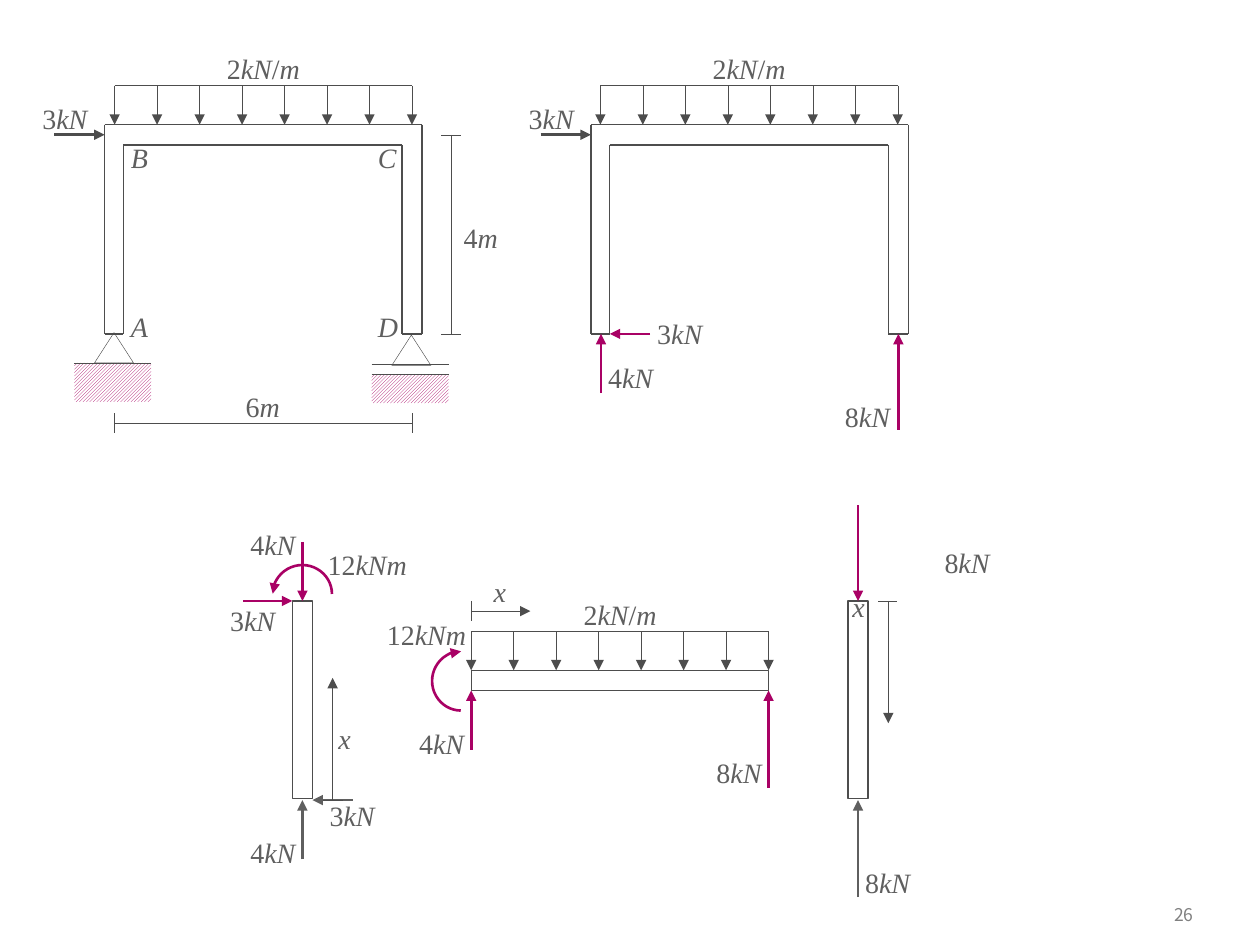
import itertools
import pptx
import pptx.util
import pptx.dml.color
import pptx.enum.dml
import pptx.enum.shapes
import pptx.enum.text
import pptx.oxml
import pptx.oxml.ns

Inches = pptx.util.Inches
Pt = pptx.util.Pt
Shape = pptx.enum.shapes.MSO_SHAPE
Align = pptx.enum.text.PP_ALIGN
color = pptx.dml.color.RGBColor.from_string
theme = {
    "dark": color("4D4D4D"), "gray": color("5F5F5F"), "force": color("A90165"),
    "page": color("808080"), "white": color("FFFFFF"),
    "font": "Times New Roman", "page font": "Noto Sans CJK KR",
    "size": Pt(16), "page size": Pt(10),
    "thin": Pt(0.25), "edge": Pt(0.75), "bold": Pt(1.5),
}


def line(group, x1, y1, x2, y2, hue="dark", width="thin", arrow=False):
    item = group.shapes.add_connector(
        pptx.enum.shapes.MSO_CONNECTOR.STRAIGHT,
        Inches(x1), Inches(y1), Inches(x2), Inches(y2))
    item.line.color.rgb = theme[hue]
    item.line.width = theme[width]
    props = item._element.spPr
    if arrow:
        tail = pptx.oxml.parse_xml(
            '<a:tailEnd %s type="triangle"/>' % pptx.oxml.ns.nsdecls("a"))
        props.find(pptx.oxml.ns.qn("a:ln")).append(tail)
    props.append(pptx.oxml.parse_xml("<a:effectLst %s/>" % pptx.oxml.ns.nsdecls("a")))


def label(group, text, x, y, width=0.63):
    box = group.shapes.add_textbox(Inches(x), Inches(y), Inches(width), Inches(0.37))
    box.text_frame.word_wrap = False
    para = box.text_frame.paragraphs[0]
    para.alignment = Align.CENTER
    # Letters are italic, digits and signs upright
    for slant, part in itertools.groupby(text, str.isalpha):
        run = para.add_run()
        run.text = "".join(part)
        run.font.italic = slant
        run.font.name = theme["font"]
        run.font.size = theme["size"]
        run.font.color.rgb = theme["gray"]


deck = pptx.Presentation()
deck.slide_width, deck.slide_height = Inches(10), Inches(7.5)
slide = deck.slides.add_slide(deck.slide_layouts[6])
free, left, right, beam, frame = [slide.shapes.add_group_shape() for _ in range(5)]

# Frame outlines with the side load
for group, x in ((frame, 0.83), (free, 4.69)):
    for x1, y1, x2, y2 in (
            (0.15, 1.15, 2.36, 1.15), (0, 0.99, 2.52, 0.99),
            (2.36, 1.15, 2.36, 2.65), (2.52, 0.99, 2.52, 2.65),
            (0, 0.99, 0, 2.65), (0.15, 1.15, 0.15, 2.65),
            (0, 2.65, 0.15, 2.65), (2.36, 2.65, 2.52, 2.65)):
        line(group, x + x1, y1, x + x2, y2, width="edge")
    line(group, x - 0.4, 1.07, x, 1.07, width="bold", arrow=True)
    label(group, "3kN", x - 0.63, 0.76)

# Spread loads
span, gaps = 2.36, 7
for group, x, y in ((frame, 0.91, 0.68), (free, 4.765, 0.68), (beam, 3.74, 5.01)):
    line(group, x, y, x + span, y)
    for step in range(gaps + 1):
        spot = x + step * span / gaps
        line(group, spot, y, spot, y + 0.31, arrow=True)
    label(group, "2kN/m", x + 0.785, y - 0.32, 0.79)

# Supports: pin at A, roller at D
for x, tip, top, depth in ((0.91, 2.64, 2.88, 0.31), (3.27, 2.66, 2.97, 0.23)):
    ground = frame.shapes.add_shape(
        Shape.RECTANGLE, Inches(x - 0.32), Inches(top), Inches(0.61), Inches(depth))
    ground.shadow.inherit = False
    ground.fill.patterned()
    ground.fill.pattern = pptx.enum.dml.MSO_PATTERN.LIGHT_UPWARD_DIAGONAL
    ground.fill.fore_color.rgb = theme["force"]
    ground.fill.back_color.rgb = theme["white"]
    ground.line.fill.background()
    line(frame, x - 0.32, top, x + 0.29, top)
    pin = frame.shapes.add_shape(
        Shape.ISOSCELES_TRIANGLE, Inches(x - 0.16), Inches(tip), Inches(0.31), Inches(0.24))
    pin.shadow.inherit = False
    pin.fill.background()
    pin.line.color.rgb = theme["dark"]
    pin.line.width = theme["thin"]
line(frame, 2.95, 2.89, 3.56, 2.89)

# Size marks
for ends in ((0.91, 3.36, 3.27, 3.36), (0.91, 3.28, 0.91, 3.44), (3.27, 3.28, 3.27, 3.44),
             (3.58, 1.07, 3.58, 2.65), (3.5, 1.07, 3.66, 1.07), (3.5, 2.65, 3.66, 2.65)):
    line(frame, *ends)
label(frame, "6m", 1.85, 3.04, 0.47)
label(frame, "4m", 3.58, 1.7, 0.47)
for name, x, y in (("A", 0.94, 2.41), ("B", 0.94, 1.07), ("C", 2.9, 1.07), ("D", 2.9, 2.41)):
    label(frame, name, x, y, 0.31)

# Cut members
for group, x, y, width, height in ((left, 2.32, 4.77, 0.16, 1.57),
                                   (right, 6.73, 4.77, 0.16, 1.57),
                                   (beam, 3.74, 5.32, 2.36, 0.16)):
    bar = group.shapes.add_shape(
        Shape.RECTANGLE, Inches(x), Inches(y), Inches(width), Inches(height))
    bar.shadow.inherit = False
    bar.fill.background()
    bar.line.color.rgb = theme["dark"]
    bar.line.width = theme["edge"]

# Point forces: start, tip, colour, text and its place
for group, x1, y1, x2, y2, hue, text, x, y in (
        (free, 4.77, 3.12, 4.77, 2.65, "force", "4kN", 4.69, 2.81),
        (free, 5.16, 2.65, 4.84, 2.65, "force", "3kN", 5.08, 2.46),
        (free, 7.13, 3.41, 7.13, 2.65, "force", "8kN", 6.57, 3.12),
        (left, 2.4, 4.3, 2.4, 4.77, "force", "4kN", 1.85, 4.14),
        (left, 1.93, 4.77, 2.32, 4.77, "force", "3kN", 1.69, 4.74),
        (left, 2.4, 6.82, 2.4, 6.35, "gray", "4kN", 1.85, 6.58),
        (left, 2.8, 6.35, 2.48, 6.35, "gray", "3kN", 2.48, 6.29),
        (right, 6.81, 4.01, 6.81, 4.77, "force", "8kN", 7.36, 4.28),
        (right, 6.81, 7.12, 6.81, 6.35, "gray", "8kN", 6.73, 6.82),
        (beam, 3.74, 5.95, 3.74, 5.48, "force", "4kN", 3.19, 5.72),
        (beam, 6.1, 6.25, 6.1, 5.48, "force", "8kN", 5.55, 5.95)):
    line(group, x1, y1, x2, y2, hue, "bold", True)
    label(group, text, x, y)

# Moments
for group, x, y, turn, end, text_x, text_y in (
        (left, 2.17, 4.48, 90, "headEnd", 2.48, 4.3),
        (beam, 3.43, 5.17, 0, "tailEnd", 2.95, 4.85)):
    arc = group.shapes.add_shape(Shape.ARC, Inches(x), Inches(y), Inches(0.46), Inches(0.47))
    arc.shadow.inherit = False
    arc.adjustments[0], arc.adjustments[1] = 162.373, 53.997
    arc.rotation = turn
    arc.fill.background()
    arc.line.color.rgb = theme["force"]
    arc.line.width = theme["bold"]
    props = arc._element.spPr
    props.xfrm.set("flipH", "1")
    props.xfrm.set("flipV", "1")
    props.find(pptx.oxml.ns.qn("a:ln")).append(pptx.oxml.parse_xml(
        '<a:%s %s type="triangle"/>' % (end, pptx.oxml.ns.nsdecls("a"))))
    label(group, "12kNm", text_x, text_y, 0.87)

# Axes along the members
for group, mark, axis, x, y, width in (
        (left, (2.56, 6.35, 2.72, 6.35), (2.64, 6.35, 2.64, 5.38), 2.57, 5.68, 0.33),
        (right, (6.97, 4.77, 7.12, 4.77), (7.05, 4.77, 7.05, 5.74), 6.65, 4.63, 0.33),
        (beam, (3.74, 4.77, 3.74, 4.93), (3.74, 4.85, 4.21, 4.85), 3.82, 4.51, 0.26)):
    line(group, *mark)
    line(group, *axis, arrow=True)
    label(group, "x", x, y, width)

# Page number
page = slide.shapes.add_textbox(Inches(8.86), Inches(7.09), Inches(0.71), Inches(0.33))
page.text_frame.word_wrap = True
page.text_frame.vertical_anchor = pptx.enum.text.MSO_ANCHOR.MIDDLE
para = page.text_frame.paragraphs[0]
para.text = "26"
para.alignment = Align.RIGHT
font = para.runs[0].font
font.name, font.size = theme["page font"], theme["page size"]
font.color.rgb = theme["page"]

deck.save("out.pptx")
